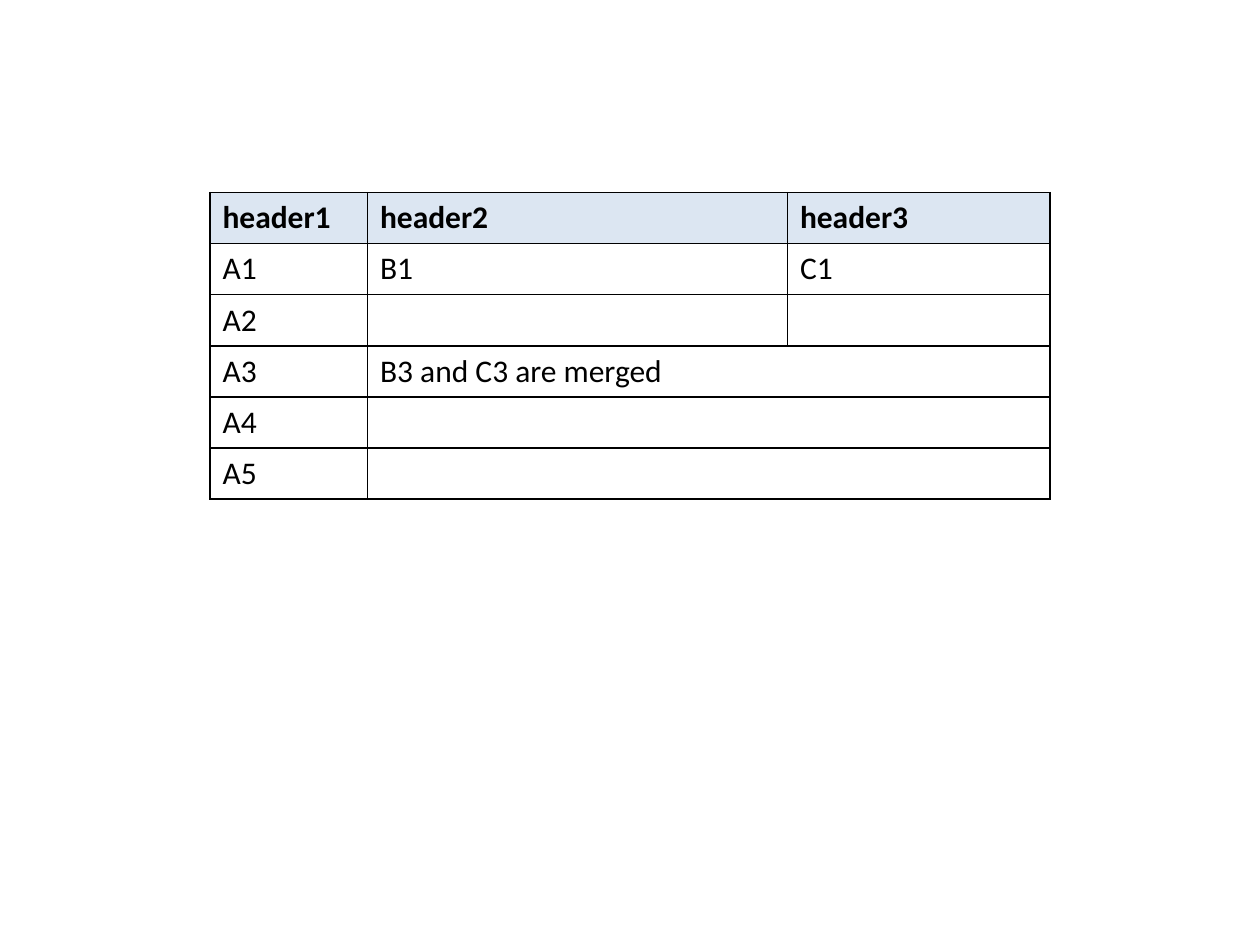
from lxml import etree
from pptx import Presentation
from pptx.dml.color import RGBColor
from pptx.oxml import ns
from pptx.util import Pt

COLORS = {"text": "000000", "border": "000000", "header": "DCE6F2"}
ROWS = [
    ["header1", "header2", "header3"],
    ["A1", "B1", "C1"],
    ["A2", "", ""],
    ["A3", "B3 and C3 are merged", ""],
    ["A4", "", ""],
    ["A5", "", ""],
]
COLUMN_WIDTHS = [90, 240, 150]
ROW_HEIGHT = 29.2
FIRST_MERGED_ROW = 3


def write_text(cell, content, size=18, font="Calibri", color="text", bold=False):
    para = cell.text_frame.paragraphs[0]
    para.font.size = Pt(size)
    if content:
        span = para.add_run()
        span.text = content
        span.font.name = font
        span.font.size = Pt(size)
        span.font.bold = bold
        span.font.color.rgb = RGBColor.from_string(COLORS[color])


def draw_borders(cell, width=0.96, color="border"):
    properties = cell._tc.get_or_add_tcPr()
    for side in ("lnL", "lnR", "lnT", "lnB"):
        line = etree.SubElement(properties, ns.qn(f"a:{side}"), w=str(int(Pt(width))))
        fill = etree.SubElement(line, ns.qn("a:solidFill"))
        etree.SubElement(fill, ns.qn("a:srgbClr"), val=COLORS[color])


def fill_cell(cell, color=None):
    if color:
        cell.fill.solid()
        cell.fill.fore_color.rgb = RGBColor.from_string(COLORS[color])
    else:
        cell.fill.background()


def add_grid(page, left, top):
    frame = page.shapes.add_table(
        len(ROWS), len(COLUMN_WIDTHS), Pt(left), Pt(top),
        Pt(sum(COLUMN_WIDTHS)), Pt(ROW_HEIGHT * len(ROWS)),
    )
    table = frame.table
    table.first_row = False
    table.horz_banding = False
    for column, width in zip(table.columns, COLUMN_WIDTHS):
        column.width = Pt(width)
    for row_index, values in enumerate(ROWS):
        is_header = row_index == 0
        table.rows[row_index].height = Pt(ROW_HEIGHT)
        for column_index, content in enumerate(values):
            cell = table.cell(row_index, column_index)
            write_text(cell, content, bold=is_header)
            draw_borders(cell)
            fill_cell(cell, "header" if is_header else None)
        if row_index >= FIRST_MERGED_ROW:
            table.cell(row_index, 1).merge(table.cell(row_index, 2))


def main():
    deck = Presentation()
    deck.slide_width, deck.slide_height = Pt(720), Pt(540)
    page = deck.slides.add_slide(deck.slide_layouts[6])
    add_grid(page, left=120, top=110)
    deck.save("out.pptx")


if __name__ == "__main__":
    main()
